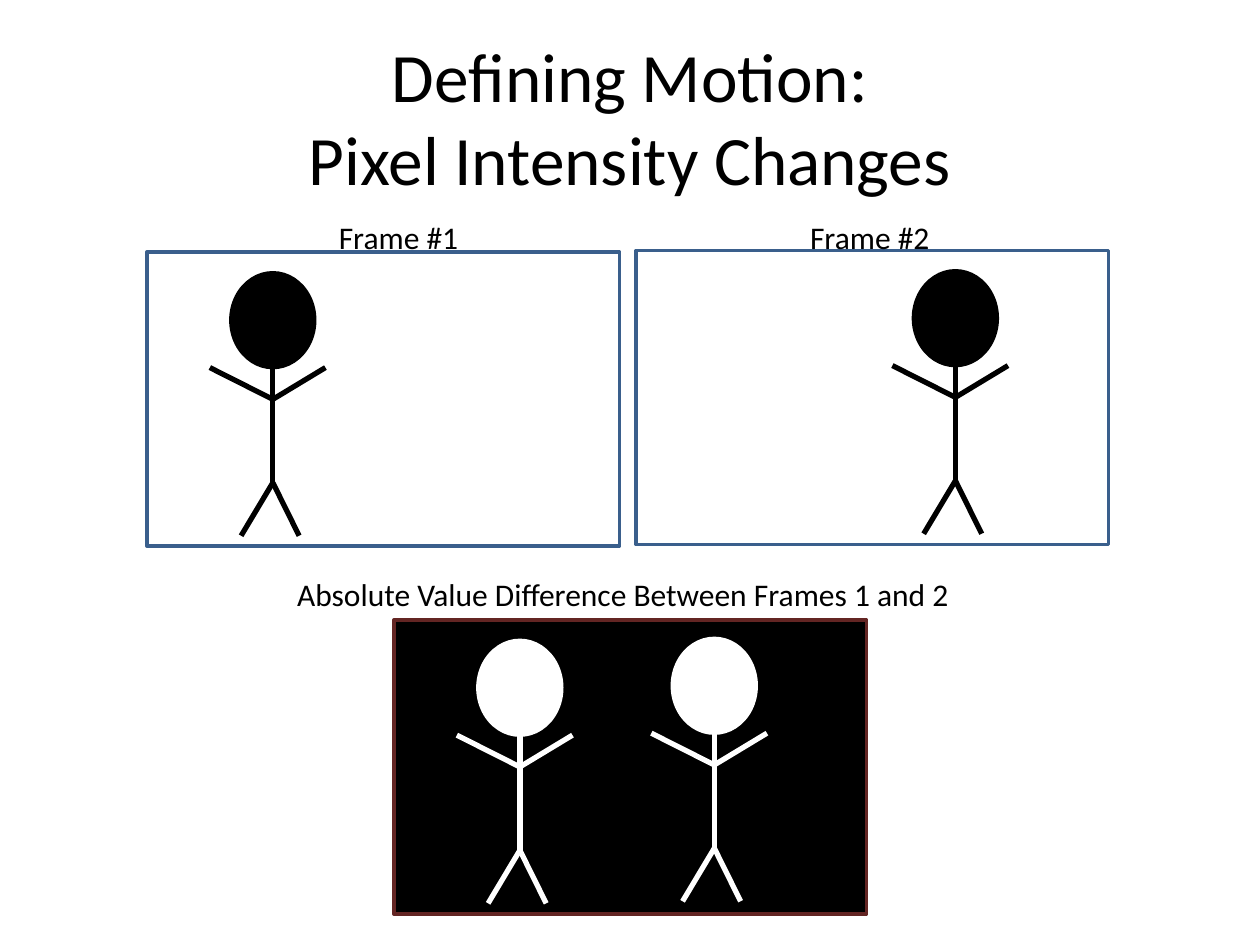
from dataclasses import dataclass
from typing import Optional

from lxml.etree import SubElement
from pptx import Presentation
from pptx.dml.color import RGBColor as Color
from pptx.enum.shapes import MSO_CONNECTOR as Connector, MSO_SHAPE as Preset
from pptx.enum.text import MSO_ANCHOR as Anchor, MSO_AUTO_SIZE as AutoSize, PP_ALIGN as Align
from pptx.oxml.ns import qn
from pptx.util import Cm, Pt


@dataclass(frozen=True)
class Theme:
    font: str = "Calibri"
    title_size: float = 39.6
    label_size: float = 18
    outline: float = 2
    limb: float = 3
    black: str = "000000"
    white: str = "FFFFFF"
    blue: str = "3A5F8C"
    red: str = "632523"


@dataclass(frozen=True)
class Frame:
    left: float
    top: float
    line: str
    fill: Optional[str] = None


@dataclass(frozen=True)
class Figure:
    neck_x: float
    neck_y: float
    color: str


@dataclass(frozen=True)
class Label:
    lines: tuple[str, ...]
    left: float
    top: float
    width: float
    height: float
    size: float
    align: Align = Align.LEFT
    anchor: Anchor = Anchor.TOP
    wrap: bool = False


THEME = Theme()
FRAME_SIZE = (9.53, 5.93)
HEAD_SIZE = (1.69, 1.91)
NECK, SHOULDER, HIP = (0, 0), (0, 0.64), (0, 2.32)
LIMBS = (
    (NECK, HIP),
    ((-1.27, 0), SHOULDER),
    (SHOULDER, (1.06, 0)),
    (HIP, (-0.64, 3.39)),
    (HIP, (0.53, 3.39)),
)

FRAMES = (
    Frame(7.94, 12.5, THEME.red, THEME.black),
    Frame(2.96, 5.08, THEME.blue),
    Frame(12.82, 5.05, THEME.blue),
)
FIGURES = (
    Figure(5.5, 7.41, THEME.black),
    Figure(19.26, 7.37, THEME.black),
    Figure(10.48, 14.82, THEME.white),
    Figure(14.4, 14.78, THEME.white),
)
LABELS = (
    Label(("Defining Motion:", "Pixel Intensity Changes"), 1.27, 0.76, 22.86, 3.18,
          THEME.title_size, Align.CENTER, Anchor.MIDDLE, True),
    Label(("Frame #1",), 6.58, 4.27, 2.95, 1.03, THEME.label_size),
    Label(("Frame #2",), 16.08, 4.27, 2.95, 1.03, THEME.label_size),
    Label(("Absolute Value Difference Between Frames 1 and 2",), 5.74, 11.46, 13.82, 1.03,
          THEME.label_size),
)


def apply_format(target, values: dict) -> None:
    for name, value in values.items():
        setattr(target, name, value)


def style_line(line, color: str, width: float) -> None:
    line.color.rgb = Color.from_string(color)
    line.width = Pt(width)


def draw_shape(slide, preset: Preset, left: float, top: float, size: tuple[float, float],
               line: str, fill: Optional[str]) -> None:
    shape = slide.shapes.add_shape(preset, Cm(left), Cm(top), *map(Cm, size))
    shape.shadow.inherit = False
    style_line(shape.line, line, THEME.outline)
    if fill is None:
        shape.fill.background()
    else:
        shape.fill.solid()
        shape.fill.fore_color.rgb = Color.from_string(fill)


def draw_frame(slide, frame: Frame) -> None:
    draw_shape(slide, Preset.RECTANGLE, frame.left, frame.top, FRAME_SIZE, frame.line, frame.fill)


def draw_figure(slide, figure: Figure) -> None:
    width, height = HEAD_SIZE
    draw_shape(slide, Preset.OVAL, figure.neck_x - width / 2, figure.neck_y - height,
               HEAD_SIZE, figure.color, figure.color)
    for ends in LIMBS:
        points = [Cm(value) for x, y in ends for value in (figure.neck_x + x, figure.neck_y + y)]
        limb = slide.shapes.add_connector(Connector.STRAIGHT, *points)
        style_line(limb.line, figure.color, THEME.limb)
        SubElement(limb._element.spPr, qn("a:effectLst"))


def draw_label(slide, label: Label) -> None:
    box = slide.shapes.add_textbox(
        *map(Cm, (label.left, label.top, label.width, label.height)))
    apply_format(box.text_frame, {
        "word_wrap": label.wrap,
        "vertical_anchor": label.anchor,
        "auto_size": AutoSize.NONE if label.wrap else AutoSize.SHAPE_TO_FIT_TEXT,
    })
    paragraph = box.text_frame.paragraphs[0]
    paragraph.alignment = label.align
    for index, line in enumerate(label.lines):
        if index:
            paragraph.add_line_break()
        run = paragraph.add_run()
        run.text = line
        apply_format(run.font, {"name": THEME.font, "size": Pt(label.size)})
        run.font.color.rgb = Color.from_string(THEME.black)


def main() -> None:
    presentation = Presentation()
    apply_format(presentation, {"slide_width": Cm(25.4), "slide_height": Cm(19.05)})
    slide = presentation.slides.add_slide(presentation.slide_layouts[6])
    for frame in FRAMES:
        draw_frame(slide, frame)
    for figure in FIGURES:
        draw_figure(slide, figure)
    for label in LABELS:
        draw_label(slide, label)
    presentation.save("out.pptx")


if __name__ == "__main__":
    main()
